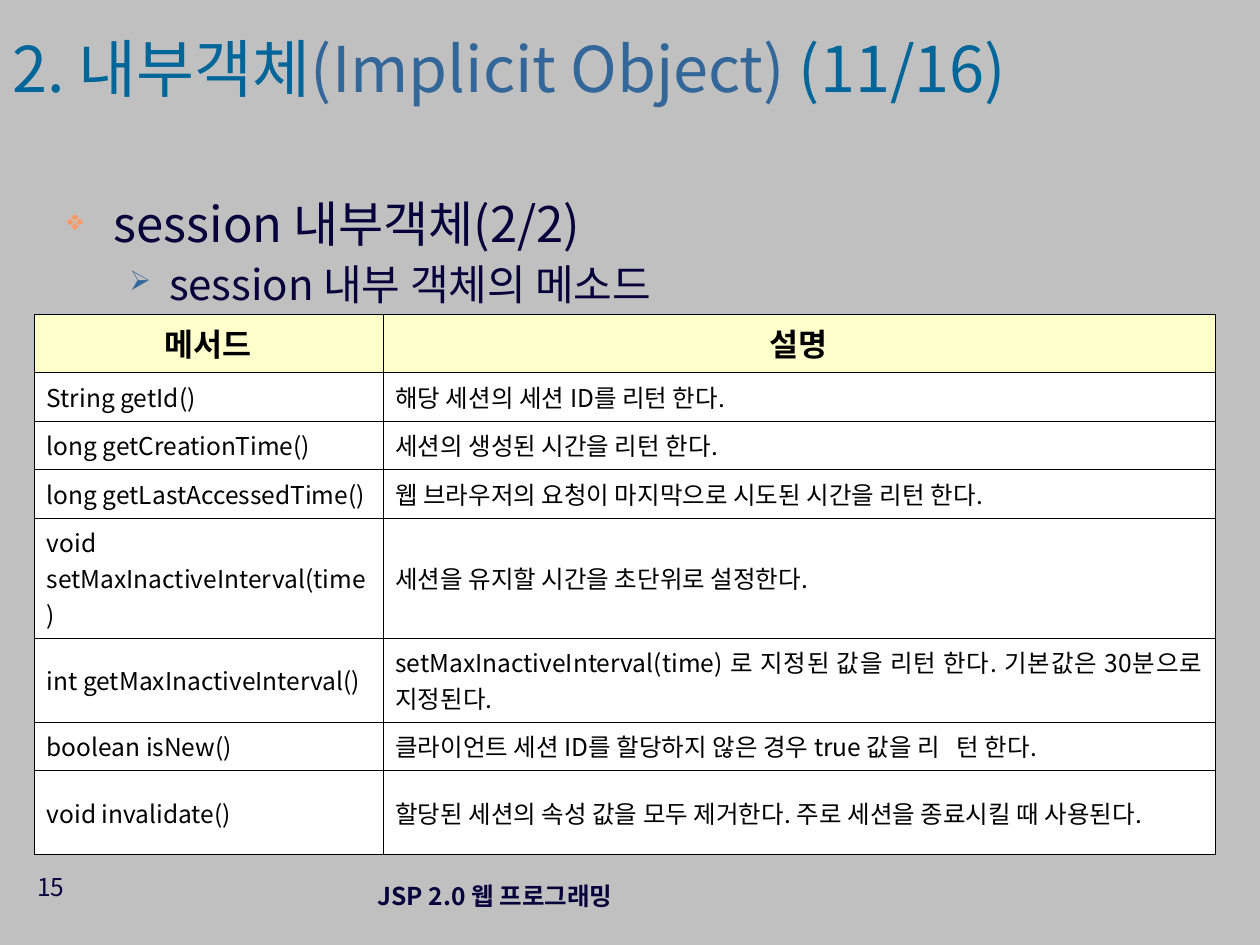
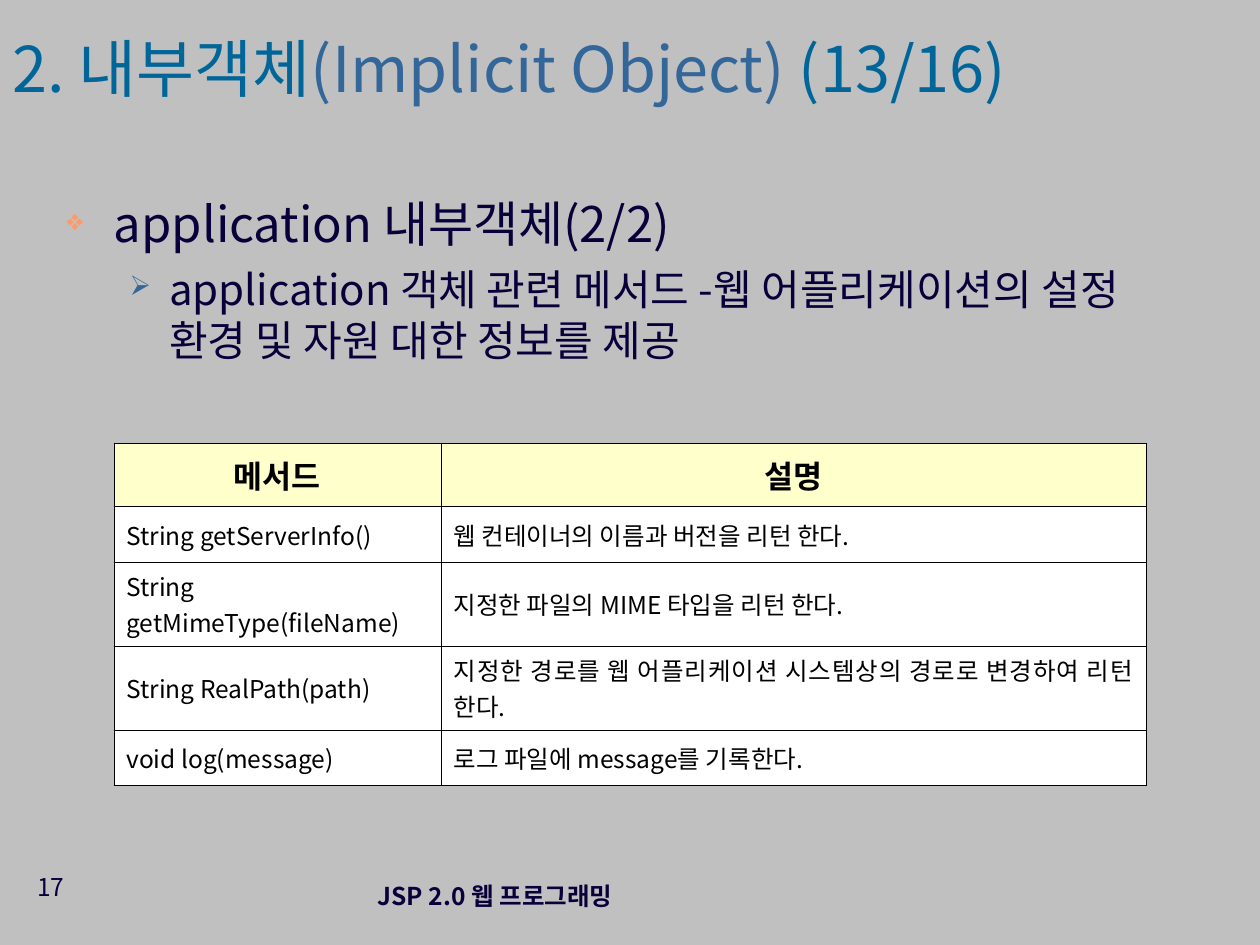
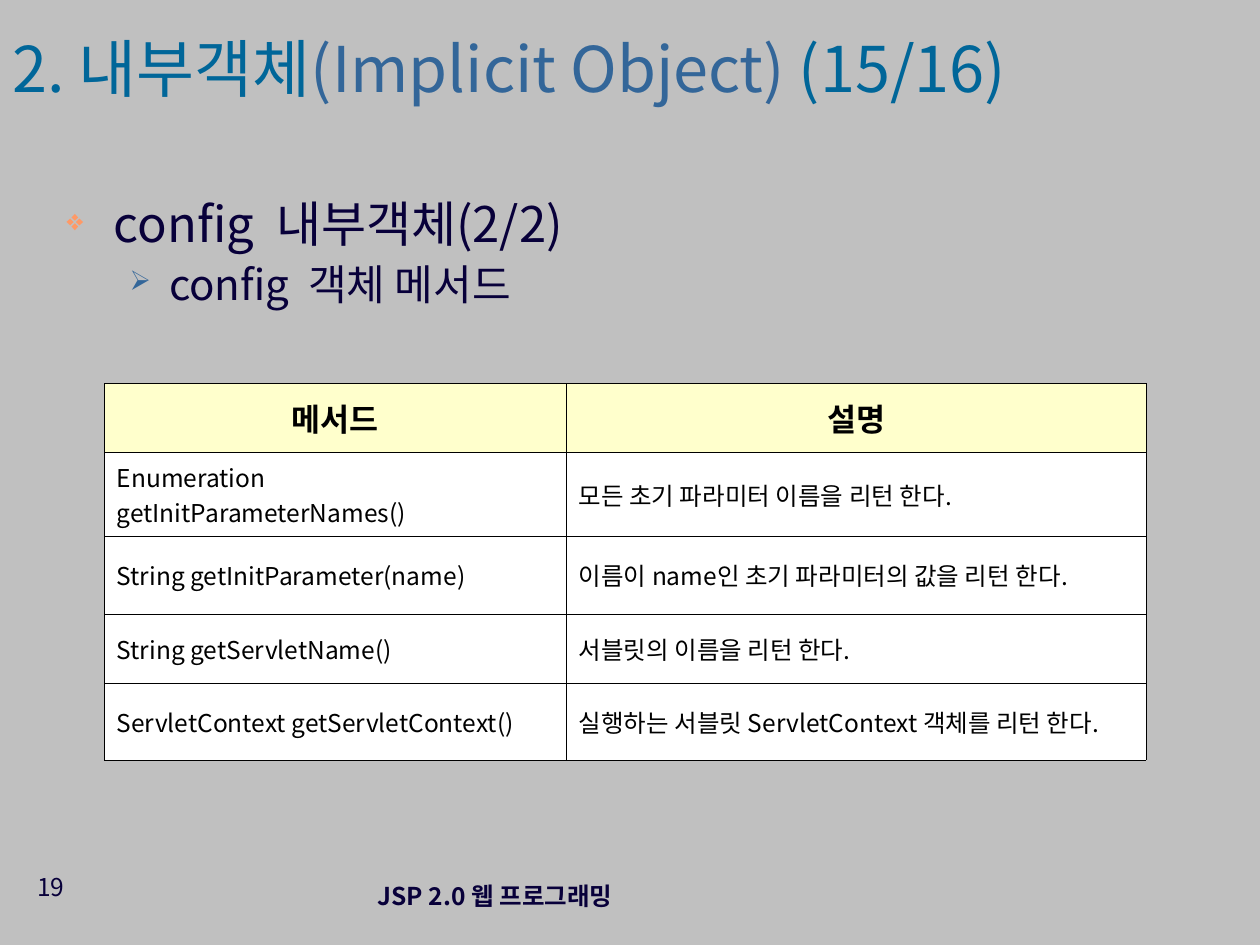
import pptx
import pptx.dml.color
import pptx.enum.text
import pptx.oxml.ns
import pptx.util
from lxml import etree

Pt = pptx.util.Pt
Align = pptx.enum.text.PP_ALIGN
Anchor = pptx.enum.text.MSO_ANCHOR


def color(value):
    return pptx.dml.color.RGBColor.from_string(value)


def add_child(parent, tag, **attributes):
    return etree.SubElement(parent, pptx.oxml.ns.qn(tag), attributes)


class Lecture:
    typeface = "Noto Sans CJK KR"
    background = "C0C0C0"
    ink = "08003A"
    title_color = "006699"
    accent = "336699"
    bullet_color = "FF9966"
    table_ink = "000000"
    header_fill = "FFFFCC"
    cell_fill = "FFFFFF"
    border_width = 0.06

    def __init__(self):
        self.deck = pptx.Presentation()
        self.deck.slide_width = Pt(720)
        self.deck.slide_height = Pt(540)
        fill = self.deck.slide_master.background.fill
        fill.solid()
        fill.fore_color.rgb = color(self.background)
        self.page = None

    def start_page(self, number, part):
        self.page = self.deck.slides.add_slide(self.deck.slide_layouts[6])
        self.title(part)
        self.footer(number)

    def text_box(self, left, top, width, height, anchor=Anchor.TOP):
        box = self.page.shapes.add_textbox(Pt(left), Pt(top), Pt(width), Pt(height))
        frame = box.text_frame
        frame.word_wrap = True
        frame.vertical_anchor = anchor
        return frame

    def style(self, para, size, ink, bold=False):
        font = para.font
        font.size = Pt(size)
        font.bold = bold
        font.color.rgb = color(ink)
        font.name = self.typeface
        add_child(para._p.pPr.defRPr, "a:ea", typeface=self.typeface)

    def title(self, part):
        frame = self.text_box(0, 20, 615, 48, Anchor.MIDDLE)
        para = frame.paragraphs[0]
        para.line_spacing = 0.7
        self.style(para, 36, self.title_color)
        for text, ink in (
            ("2. 내부객체", self.title_color),
            ("(Implicit Object) ", self.accent),
            (f"({part}/16)", self.title_color),
        ):
            span = para.add_run()
            span.text = text
            span.font.color.rgb = color(ink)

    def footer(self, number):
        course = self.text_box(169, 494, 228, 36, Anchor.MIDDLE).paragraphs[0]
        course.text = "JSP 2.0 웹 프로그래밍"
        course.alignment = Align.CENTER
        self.style(course, 14, self.ink, bold=True)
        counter = self.text_box(10, 494.6, 34, 37).paragraphs[0]
        counter.text = str(number)
        counter.alignment = Align.RIGHT
        self.style(counter, 14, self.ink)

    def bullet(self, para, text, size, mark, mark_color, mark_size, margin, hanging, before, spacing):
        para.text = text
        para.line_spacing = spacing
        para.space_before = Pt(before)
        properties = para._p.get_or_add_pPr()
        properties.set("marL", str(Pt(margin)))
        properties.set("indent", str(-Pt(hanging)))
        add_child(add_child(properties, "a:buClr"), "a:srgbClr", val=mark_color)
        add_child(properties, "a:buSzPct", val=str(mark_size * 1000))
        add_child(properties, "a:buChar", char=mark)
        self.style(para, size, self.ink)

    def outline(self, heading, detail, height=108, detail_spacing=0.9):
        frame = self.text_box(31, 111, 663, height)
        self.bullet(frame.paragraphs[0], heading, 28, "❖", self.bullet_color, 60, 27, 27, 7, 0.9)
        para = frame.add_paragraph()
        para.level = 1
        self.bullet(para, detail, 24, "➢", self.accent, 65, 58.5, 22.5, 6, detail_spacing)

    def border(self, cell):
        properties = cell._tc.get_or_add_tcPr()
        for position, side in enumerate(("a:lnL", "a:lnR", "a:lnT", "a:lnB")):
            line = etree.Element(pptx.oxml.ns.qn(side), w=str(Pt(self.border_width)))
            add_child(add_child(line, "a:solidFill"), "a:srgbClr", val=self.table_ink)
            properties.insert(position, line)

    def cell(self, cell, text, header):
        cell.vertical_anchor = Anchor.MIDDLE
        cell.fill.solid()
        cell.fill.fore_color.rgb = color(self.header_fill if header else self.cell_fill)
        para = cell.text_frame.paragraphs[0]
        para.text = text
        para.alignment = Align.CENTER if header else Align.JUSTIFY
        self.style(para, 18 if header else 14, self.table_ink, bold=header)
        self.border(cell)

    def method_table(self, left, top, widths, heights, methods):
        rows = [("메서드", "설명"), *methods]
        table = self.page.shapes.add_table(
            len(rows), len(widths), Pt(left), Pt(top), Pt(sum(widths)), Pt(sum(heights))
        ).table
        table.first_row = False
        table.horz_banding = False
        for column, width in zip(table.columns, widths):
            column.width = Pt(width)
        for index, (row, height, texts) in enumerate(zip(table.rows, heights, rows)):
            row.height = Pt(height)
            for cell, text in zip(row.cells, texts):
                self.cell(cell, text, header=index == 0)


def main():
    lecture = Lecture()

    lecture.start_page(15, 11)
    lecture.outline("session 내부객체(2/2)", "session 내부 객체의 메소드", height=79)
    lecture.method_table(
        19.5, 179.5, (199.2, 475.5), (33.1, 27.8, 27.8, 27.8, 68.6, 48, 27.8, 48),
        [
            ("String getId()", "해당 세션의 세션 ID를 리턴 한다."),
            ("long getCreationTime()", "세션의 생성된 시간을 리턴 한다."),
            ("long getLastAccessedTime()", "웹 브라우저의 요청이 마지막으로 시도된 시간을 리턴 한다."),
            ("void setMaxInactiveInterval(time)", "세션을 유지할 시간을 초단위로 설정한다."),
            (
                "int getMaxInactiveInterval()",
                "setMaxInactiveInterval(time) 로 지정된 값을 리턴 한다. 기본값은 30분으로 지정된다.",
            ),
            ("boolean isNew()", "클라이언트 세션 ID를 할당하지 않은 경우 true 값을 리   턴 한다."),
            ("void invalidate()", "할당된 세션의 속성 값을 모두 제거한다. 주로 세션을 종료시킬 때 사용된다."),
        ],
    )

    lecture.start_page(17, 13)
    lecture.outline(
        "application 내부객체(2/2)",
        "application 객체 관련 메서드 -웹 어플리케이션의 설정 환경 및 자원 대한 정보를 제공",
        detail_spacing=1.0,
    )
    lecture.method_table(
        65, 253, (187, 403), (36.5, 31.7, 48, 48, 31.7),
        [
            ("String getServerInfo()", "웹 컨테이너의 이름과 버전을 리턴 한다."),
            ("String getMimeType(fileName)", "지정한 파일의 MIME 타입을 리턴 한다."),
            ("String RealPath(path)", "지정한 경로를 웹 어플리케이션 시스템상의 경로로 변경하여 리턴 한다."),
            ("void log(message)", "로그 파일에 message를 기록한다."),
        ],
    )

    lecture.start_page(19, 15)
    lecture.outline("config  내부객체(2/2)", "config  객체 메서드")
    lecture.method_table(
        59.5, 219, (264, 331.5), (39.5, 48, 44.5, 39.5, 44),
        [
            ("Enumeration getInitParameterNames()", "모든 초기 파라미터 이름을 리턴 한다."),
            ("String getInitParameter(name)", "이름이 name인 초기 파라미터의 값을 리턴 한다."),
            ("String getServletName()", "서블릿의 이름을 리턴 한다."),
            ("ServletContext getServletContext()", "실행하는 서블릿 ServletContext 객체를 리턴 한다."),
        ],
    )

    lecture.deck.save("out.pptx")


if __name__ == "__main__":
    main()
